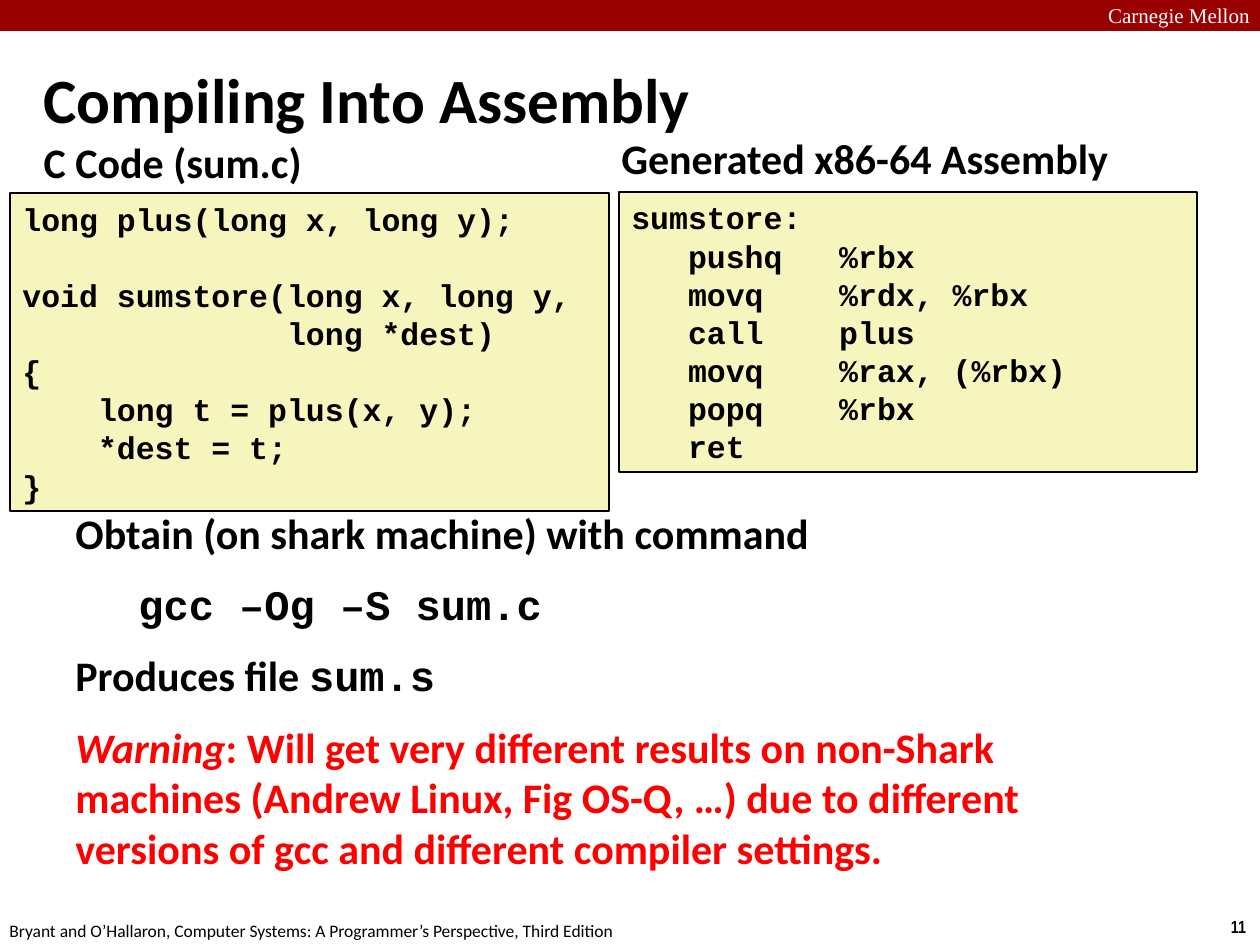
import dataclasses

import pptx
import pptx.dml.color
import pptx.enum.shapes
import pptx.enum.text
import pptx.oxml.ns
import pptx.util
from lxml import etree

ALIGN = pptx.enum.text.PP_ALIGN
ANCHOR = pptx.enum.text.MSO_ANCHOR


@dataclasses.dataclass(frozen=True)
class Theme:
    band: str = "990000"
    code_fill: str = "F6F5BD"
    ink: str = "000000"
    light: str = "FFFFFF"
    warning: str = "FF0000"
    sans: str = "Calibri"
    narrow: str = "Arial Narrow"
    serif: str = "Times New Roman"
    mono: str = "Courier New"
    title: int = 36
    heading: int = 24
    code: int = 18
    code_line: float = 21.8
    label: int = 12
    footer: int = 10
    gap: int = 12


class SlideBuilder:
    PX = 914400 // 126

    def __init__(self, page, theme):
        self.page = page
        self.theme = theme

    def place(self, *lengths):
        return [pptx.util.Emu(length * self.PX) for length in lengths]

    def color(self, value):
        return pptx.dml.color.RGBColor.from_string(value)

    def style(self, font, face, size, color=None, bold=True):
        font.name = face
        font.size = pptx.util.Pt(size)
        font.bold = bold
        font.color.rgb = self.color(color or self.theme.ink)

    def placeholder(self, index, text, at, size, anchor):
        """Move a template placeholder and set one line without a bullet."""
        box = self.page.placeholders[index]
        box.left, box.top, box.width, box.height = self.place(*at)
        frame = box.text_frame
        frame.text = text
        frame.auto_size = pptx.enum.text.MSO_AUTO_SIZE.NONE
        frame.vertical_anchor = anchor
        para = frame.paragraphs[0]
        para.alignment = ALIGN.LEFT
        para.space_before = pptx.util.Pt(0)
        properties = para._p.get_or_add_pPr()
        properties.set("marL", "0")
        properties.set("indent", "0")
        etree.SubElement(properties, pptx.oxml.ns.qn("a:buNone"))
        self.style(para.font, self.theme.sans, size)

    def rectangle(self, at, fill, outline=None):
        shape = self.page.shapes.add_shape(
            pptx.enum.shapes.MSO_SHAPE.RECTANGLE, *self.place(*at))
        shape.shadow.inherit = False
        shape.fill.solid()
        shape.fill.fore_color.rgb = self.color(fill)
        if outline:
            shape.line.color.rgb = self.color(outline)
            shape.line.width = pptx.util.Pt(1)
        else:
            shape.line.fill.background()
        return shape

    def code(self, at, source):
        frame = self.rectangle(at, self.theme.code_fill, self.theme.ink).text_frame
        frame.text = source
        frame.word_wrap = True
        frame.vertical_anchor = ANCHOR.TOP
        for para in frame.paragraphs:
            para.alignment = ALIGN.LEFT
            para.line_spacing = pptx.util.Pt(self.theme.code_line)
            self.style(para.font, self.theme.mono, self.theme.code)

    def text_box(self, at, wrap=True):
        frame = self.page.shapes.add_textbox(*self.place(*at)).text_frame
        frame.word_wrap = wrap
        return frame

    def label(self, at, text, face, size, color=None, bold=False,
              align=ALIGN.LEFT, wrap=True):
        frame = self.text_box(at, wrap)
        frame.text = text
        para = frame.paragraphs[0]
        para.alignment = align
        self.style(para.font, face, size, color, bold)

    def statements(self, at, entries):
        """Stack paragraphs given as (indent in px, color, spans of (text, face, italic))."""
        frame = self.text_box(at)
        for number, (indent, color, spans) in enumerate(entries):
            para = frame.add_paragraph() if number else frame.paragraphs[0]
            if number:
                para.space_before = pptx.util.Pt(self.theme.gap)
            if indent:
                para._p.get_or_add_pPr().set("marL", str(indent * self.PX))
            self.style(para.font, spans[0][1], self.theme.heading, color)
            for text, face, italic in spans:
                span = para.add_run()
                span.text = text
                span.font.name = face
                span.font.italic = italic


C_SOURCE = """long plus(long x, long y);

void sumstore(long x, long y,
              long *dest)
{
    long t = plus(x, y);
    *dest = t;
}"""

ASSEMBLY = """sumstore:
   pushq   %rbx
   movq    %rdx, %rbx
   call    plus
   movq    %rax, (%rbx)
   popq    %rbx
   ret"""


def main():
    theme = Theme()
    deck = pptx.Presentation()
    deck.slide_width = pptx.util.Inches(10)
    deck.slide_height = pptx.util.Inches(7.5)
    slide = SlideBuilder(deck.slides.add_slide(deck.slide_layouts[1]), theme)

    slide.rectangle((0, 0, 1260, 31), theme.band)
    slide.label((1089, -4, 180, 38), "Carnegie Mellon", theme.serif, theme.label,
                theme.light, align=ALIGN.CENTER)
    slide.label((1217, 910, 43, 34), "11", theme.narrow, theme.footer,
                bold=True, align=ALIGN.CENTER, wrap=False)
    slide.label((-3, 914, 640, 34),
                "Bryant and O’Hallaron, Computer Systems: "
                "A Programmer’s Perspective, Third Edition",
                theme.sans, theme.footer, wrap=False)

    slide.placeholder(0, "Compiling Into Assembly", (31, 60, 944, 77),
                      theme.title, ANCHOR.MIDDLE)
    slide.placeholder(1, "C Code (sum.c)", (31, 130, 336, 50),
                      theme.heading, ANCHOR.TOP)
    slide.code((10, 193, 599, 318), C_SOURCE)
    slide.label((609, 126, 567, 57), "Generated x86-64 Assembly",
                theme.sans, theme.heading, bold=True)
    slide.code((619, 192, 578, 280), ASSEMBLY)

    slide.statements((63, 501, 1029, 470), [
        (0, theme.ink, [("Obtain (on shark machine) with command", theme.sans, False)]),
        (63, theme.ink, [("gcc –Og –S sum.c", theme.mono, False)]),
        (0, theme.ink, [("Produces file ", theme.sans, False),
                        ("sum.s", theme.mono, False)]),
        (0, theme.warning, [
            ("Warning", theme.sans, True),
            (": Will get very different results on non-Shark machines "
             "(Andrew Linux, Fig OS-Q, …) due to different versions of gcc "
             "and different compiler settings.", theme.sans, False)]),
    ])
    deck.save("out.pptx")


if __name__ == "__main__":
    main()
